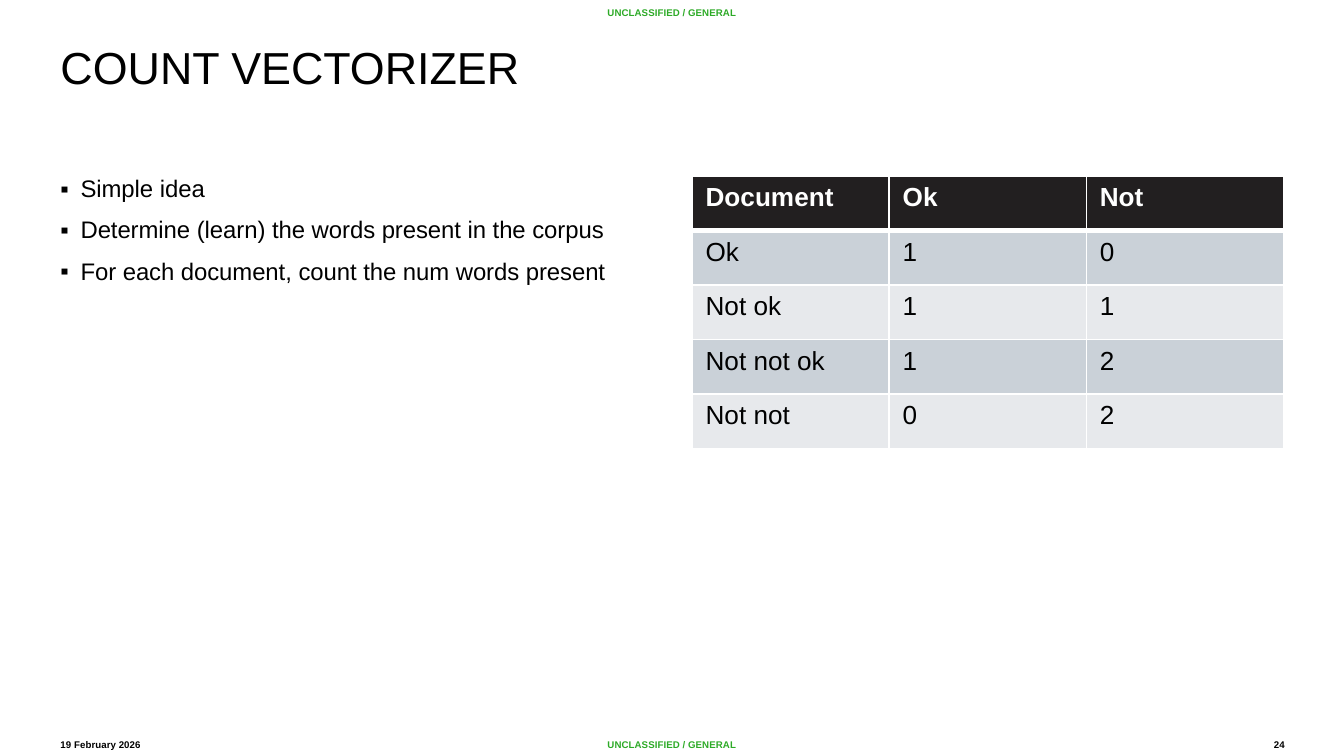
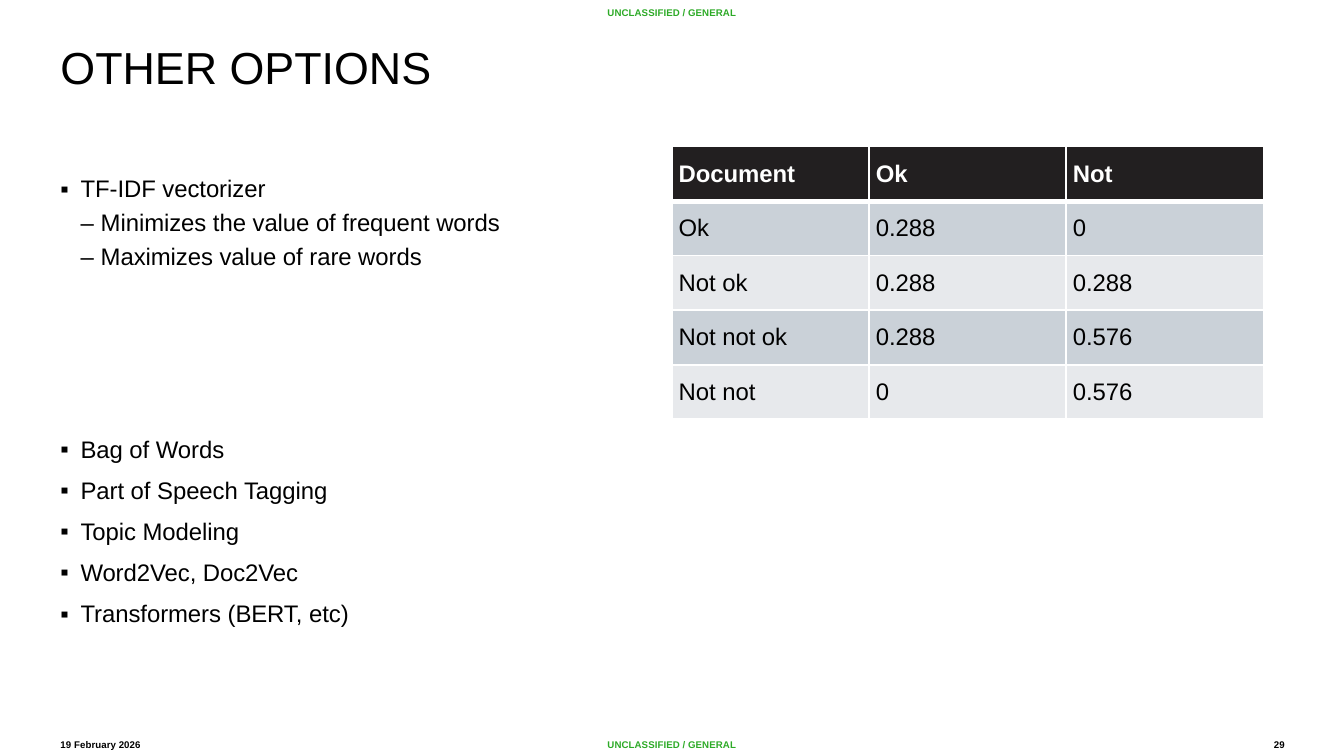
"""Build two slides on turning documents into word vectors."""
import dataclasses

import lxml.etree
import pptx
import pptx.dml.color
import pptx.enum.text
import pptx.oxml.ns
import pptx.util

Inches = pptx.util.Inches
Pt = pptx.util.Pt
Align = pptx.enum.text.PP_ALIGN
Anchor = pptx.enum.text.MSO_ANCHOR


@dataclasses.dataclass(frozen=True)
class Theme:
    """Colours, font and type sizes of the deck."""
    font: str = "Arial"
    ink: str = "000000"
    paper: str = "FFFFFF"
    mark: str = "2DAA27"
    head: str = "221F20"
    bands: tuple = ("CAD1D8", "E7E9EC")
    title: float = 24
    body: float = 12.75
    cell: float = 14
    small: float = 5.25


THEME = Theme()
MARK = "UNCLASSIFIED / GENERAL"
DATE = "19 February 2026"
LEVELS = (("▪", 0.15, 7.5), ("–", 0.3, 3.75))
TITLE_BOX = (0.45, 0.34, 6.75, 0.75)
BODY_BOX = (0.45, 1.31, 4.4, 3.75)


def color(code):
    """Return the colour for a hex code."""
    return pptx.dml.color.RGBColor.from_string(code)


def style(para, size, ink=THEME.ink, bold=False):
    """Set the font of a paragraph."""
    font = para.font
    font.name, font.size, font.bold = THEME.font, Pt(size), bold
    font.color.rgb = color(ink)


def child(parent, tag, **attrs):
    """Append a drawing element to a parent."""
    return lxml.etree.SubElement(parent, pptx.oxml.ns.qn(tag), attrs)


def inset(item, side, top):
    """Set equal side margins and equal top and bottom margins."""
    item.margin_left = item.margin_right = Inches(side)
    item.margin_top = item.margin_bottom = Inches(top)


def add_frame(slide, box):
    """Add a wrapping text box and return its frame."""
    frame = slide.shapes.add_textbox(*map(Inches, box)).text_frame
    frame.word_wrap = True
    return frame


def add_label(slide, box, text, ink=THEME.ink, align=Align.LEFT, anchor=Anchor.BOTTOM):
    """Add one small bold line in a page margin."""
    frame = add_frame(slide, box)
    inset(frame, 0, 0.05)
    frame.vertical_anchor = anchor
    para = frame.paragraphs[0]
    para.text, para.alignment = text, align
    style(para, THEME.small, ink, True)


def add_margins(slide, number):
    """Add the markings, date and page number."""
    foot, high = 5.44, 0.19
    for top, anchor in ((foot, Anchor.BOTTOM), (0, Anchor.TOP)):
        add_label(slide, (1.14, top, 7.72, high), MARK, THEME.mark, Align.CENTER, anchor)
    add_label(slide, (0.45, foot, 0.68, high), DATE)
    add_label(slide, (9.2, foot, 0.36, high), str(number), align=Align.RIGHT)


def set_title(slide, box, text):
    """Place and format the title placeholder."""
    title = slide.shapes.title
    title.left, title.top, title.width, title.height = map(Inches, box)
    frame = title.text_frame
    frame.text = text
    frame.auto_size = pptx.enum.text.MSO_AUTO_SIZE.NONE
    frame.vertical_anchor = Anchor.TOP
    inset(frame, 0, 0)
    para = frame.paragraphs[0]
    para.alignment, para.line_spacing = Align.LEFT, 0.9
    style(para, THEME.title)


def add_list(slide, box, items):
    """Add bullets from (level, text, space before) items."""
    frame = add_frame(slide, box)
    inset(frame, 0, 0)
    for index, (level, text, space) in enumerate(items):
        para = frame.add_paragraph() if index else frame.paragraphs[0]
        sign, indent, gap = LEVELS[level]
        para.text, para.level = text, level
        para.line_spacing, para.space_before = 0.95, Pt(space or gap)
        props = para._p.get_or_add_pPr()
        props.set("marL", str(Inches(indent)))
        props.set("indent", str(Inches(-0.15)))
        child(props, "a:buFont", typeface=THEME.font)
        child(props, "a:buChar", char=sign)
        style(para, THEME.body)


def set_edges(cell, row):
    """Draw white cell borders, thick under the header row."""
    props = cell._tc.get_or_add_tcPr()
    thick = {"T": row == 1, "B": row == 0}
    for side in "LRTB":
        width = Pt(3 if thick.get(side) else 1)
        line = child(props, f"a:ln{side}", w=str(width))
        child(child(line, "a:solidFill"), "a:srgbClr", val=THEME.paper)


def add_grid(slide, box, rows, size, margins=(0.1, 0.05), anchor=Anchor.TOP):
    """Add a banded table with a dark header row."""
    left, top, width, height = map(Inches, box)
    count, span = len(rows), len(rows[0])
    table = slide.shapes.add_table(count, span, left, top, width, height).table
    for column in table.columns:
        column.width = width // span
    for y, values in enumerate(rows):
        table.rows[y].height = height // count
        for x, value in enumerate(values):
            cell = table.cell(y, x)
            cell.text = value
            cell.vertical_anchor = anchor
            inset(cell, *margins)
            set_edges(cell, y)
            cell.fill.solid()
            fill = THEME.bands[(y - 1) % 2] if y else THEME.head
            cell.fill.fore_color.rgb = color(fill)
            ink = THEME.ink if y else THEME.paper
            style(cell.text_frame.paragraphs[0], size, ink, y == 0)


def add_page(deck, number, title, items):
    """Add a page with margins, title and bullets."""
    slide = deck.slides.add_slide(deck.slide_layouts[5])
    add_margins(slide, number)
    set_title(slide, TITLE_BOX, title)
    add_list(slide, BODY_BOX, items)
    return slide


def build_count(deck):
    """Build the word count slide."""
    slide = add_page(deck, 24, "COUNT VECTORIZER", [
        (0, "Simple idea", None),
        (0, "Determine (learn) the words present in the corpus", None),
        (0, "For each document, count the num words present", None),
    ])
    add_grid(slide, (5.15, 1.31, 4.4, 2.03), [
        ("Document", "Ok", "Not"),
        ("Ok", "1", "0"),
        ("Not ok", "1", "1"),
        ("Not not ok", "1", "2"),
        ("Not not", "0", "2"),
    ], THEME.cell)


def build_other(deck):
    """Build the slide of other vectorizers."""
    slide = add_page(deck, 29, "OTHER OPTIONS", [
        (0, "TF-IDF vectorizer", None),
        (1, "Minimizes the value of frequent words", None),
        (1, "Maximizes value of rare words", None),
        (0, "Bag of Words", 88.4),
        (0, "Part of Speech Tagging", None),
        (0, "Topic Modeling", None),
        (0, "Word2Vec, Doc2Vec", None),
        (0, "Transformers (BERT, etc)", None),
    ])
    add_grid(slide, (5, 1.09, 4.4, 2.03), [
        ("Document", "Ok", "Not"),
        ("Ok", "0.288", "0"),
        ("Not ok", "0.288", "0.288"),
        ("Not not ok", "0.288", "0.576"),
        ("Not not", "0", "0.576"),
    ], THEME.body, (0.05, 0.02), Anchor.MIDDLE)


def main():
    """Build and save the deck."""
    deck = pptx.Presentation()
    deck.slide_width = Inches(10)
    deck.slide_height = deck.slide_width * 9 // 16
    build_count(deck)
    build_other(deck)
    deck.save("out.pptx")


if __name__ == "__main__":
    main()
